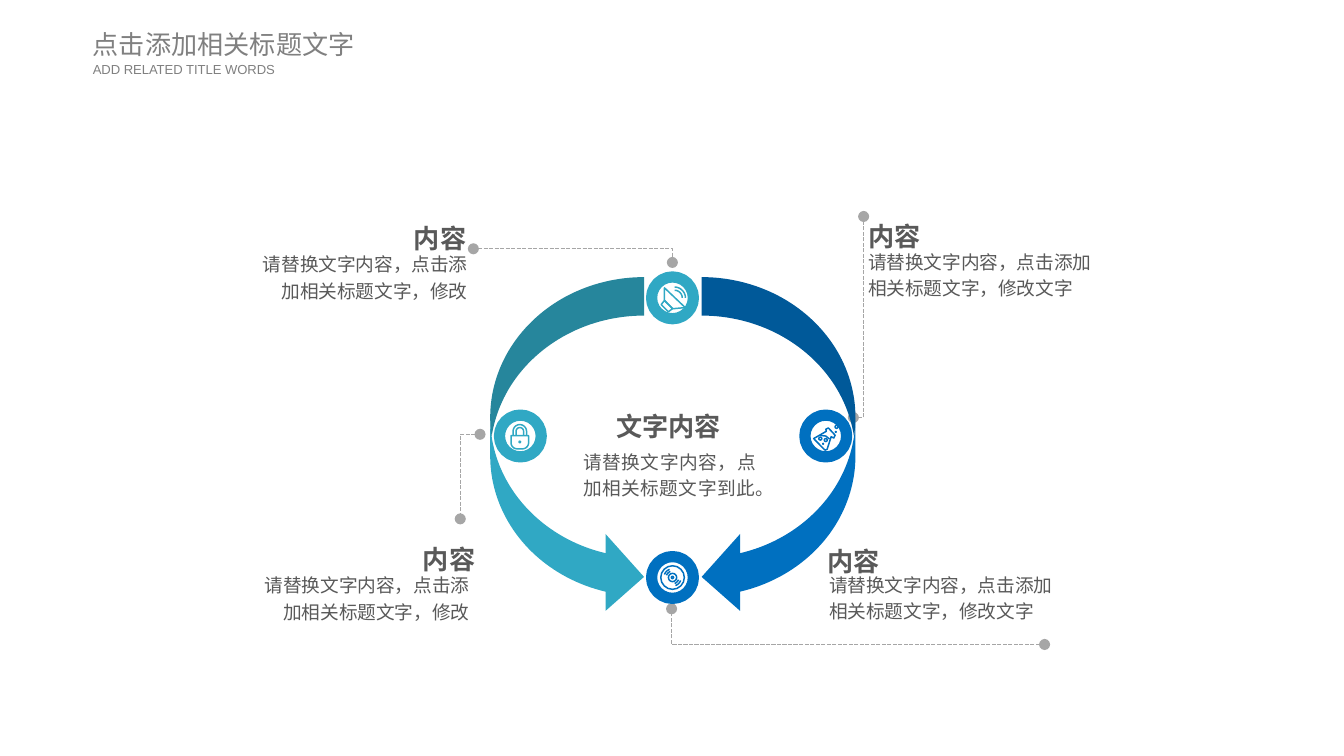
from dataclasses import dataclass
from math import cos, radians, sin

from lxml.etree import SubElement
from pptx import Presentation
from pptx.dml.color import RGBColor
from pptx.enum.dml import MSO_LINE
from pptx.enum.shapes import MSO_CONNECTOR, MSO_SHAPE
from pptx.enum.text import MSO_AUTO_SIZE, PP_ALIGN
from pptx.oxml.ns import qn
from pptx.util import Pt

Point = tuple[float, float]


@dataclass(frozen=True)
class Theme:
    font: str = "Arial"
    title: RGBColor = RGBColor(0x80, 0x80, 0x80)
    text: RGBColor = RGBColor(0x59, 0x59, 0x59)
    leader: RGBColor = RGBColor(0xA6, 0xA6, 0xA6)
    teal: RGBColor = RGBColor(0x30, 0xA8, 0xC4)
    blue: RGBColor = RGBColor(0x00, 0x70, 0xC0)
    white: RGBColor = RGBColor(0xFF, 0xFF, 0xFF)
    heading_size: float = 14
    body_size: float = 10
    subtitle_size: float = 7


@dataclass(frozen=True)
class Label:
    text: str
    left: float
    top: float
    width: float
    height: float
    size: float
    color: RGBColor
    bold: bool = False
    align: PP_ALIGN = PP_ALIGN.LEFT
    wrap: bool = False
    spacing: float = 1.0
    inset: Point = (0, 0)


@dataclass(frozen=True)
class Caption:
    heading_at: Point
    body_at: Point
    body_width: float
    body: str
    align: PP_ALIGN


@dataclass(frozen=True)
class Stroke:
    points: list[Point]
    closed: bool = True


@dataclass(frozen=True)
class Node:
    x: float
    y: float
    color: RGBColor
    icon: list[Stroke]


def arc(x: float, y: float, r: float, start: int, end: int) -> list[Point]:
    """Points on an arc, clockwise from the right, in degrees."""
    angles = [radians(start + (end - start) * i / 16) for i in range(17)]
    return [(x + r * cos(a), y + r * sin(a)) for a in angles]


def ring(x: float, y: float, r: float) -> Stroke:
    return Stroke(arc(x, y, r, 0, 360))


def shackle(r: float) -> Stroke:
    return Stroke([(-0.3 - r, -0.2), *arc(-0.3, -2.5, r, 180, 360), (-0.3 + r, -0.2)], False)


T = Theme()
SPEAKER = [
    Stroke([(-4.3, -5.4), (6.8, 5.2), (0.2, 5.8), (-4.3, 1.4)]),
    Stroke([(-4.3, 1.4), (0, 5.8), (-2.2, 7.4), (-6.1, 3.6)]),
    *[Stroke(arc(1.1, 0, r, -90, 0), False) for r in (4.1, 5.8)],
]
FLASK = [
    Stroke([(-6.5, 1.4), (0.3, -2.5), (0, -3.6), (1.4, -4.3), (5, -0.4),
            (4.3, 1.1), (2.9, 0.4), (0.7, 7.2), (-0.4, 7.6)]),
    Stroke([(-3.2, -0.4), (0, 0), (2, 1.6)], False),
    ring(0, 2.2, 0.8), ring(-2.9, 1.4, 0.8), ring(5.8, -4.9, 0.8),
    ring(-1.4, 4.2, 0.2), ring(5.4, -2.2, 0.2),
]
DISC = [
    *[ring(0, 0, r) for r in (6.3, 2.2, 0.6)],
    *[Stroke(arc(0, 0, r, a, a + 50), False) for r in (3.4, 4.6) for a in (20, 200)],
]
LOCK = [
    Stroke([(-5, -0.2), (4.4, -0.2), *arc(1.1, 3.6, 3.3, 0, 90), *arc(-1.7, 3.6, 3.3, 90, 180)]),
    shackle(3.6), shackle(2), ring(-0.3, 3.2, 0.4),
]
NODES = [
    Node(360.3, 159.6, T.teal, SPEAKER),
    Node(442.4, 233.6, T.blue, FLASK),
    Node(360.3, 309.4, T.blue, DISC),
    Node(278.8, 233.6, T.teal, LOCK),
]
# Each leader runs horizontally from its first point, then vertically to its second.
LEADERS: list[tuple[Point, Point]] = [
    ((457.2, 223.7), (462.7, 116)),
    ((559.6, 345.3), (359.8, 326.2)),
    ((257.2, 232.7), (246.6, 278)),
    ((253.6, 133.3), (360.2, 140.6)),
]
SHORT = "请替换文字内容，点击添加相关标题文字，修改"
LONG = SHORT + "文字"
CAPTIONS = [
    Caption((221.8, 116), (133, 133.2), 117.4, SHORT, PP_ALIGN.RIGHT),
    Caption((226.6, 288), (134, 305.3), 117.4, SHORT, PP_ALIGN.RIGHT),
    Caption((465.1, 114.5), (465.1, 131.8), 127.4, LONG, PP_ALIGN.LEFT),
    Caption((443.2, 288.9), (444.2, 304.8), 127.4, LONG, PP_ALIGN.LEFT),
]
TITLES = [
    Label("点击添加相关标题文字", 49.7, 15.1, 143.3, 17.3, T.heading_size, T.title),
    Label("ADD RELATED TITLE WORDS", 49.7, 33.1, 99.4, 8.6, T.subtitle_size, T.title),
]
CENTRE = [
    Label("文字内容", 322.6, 213.1, 71.3, 27.4, T.heading_size, T.text, True,
          PP_ALIGN.CENTER, spacing=1.2, inset=(7.2, 3.6)),
    Label("请替换文字内容，点加相关标题文字到此。", 305.3, 235.4, 106.6, 36, T.body_size, T.text,
          align=PP_ALIGN.JUSTIFY, wrap=True, spacing=1.2, inset=(7.2, 3.6)),
]


def add_label(s, label: Label) -> None:
    sp = s.shapes.add_textbox(Pt(label.left), Pt(label.top), Pt(label.width), Pt(label.height))
    tf = sp.text_frame
    tf.margin_left = tf.margin_right = Pt(label.inset[0])
    tf.margin_top = tf.margin_bottom = Pt(label.inset[1])
    tf.word_wrap = label.wrap
    tf.auto_size = MSO_AUTO_SIZE.SHAPE_TO_FIT_TEXT
    tf.text = label.text
    p = tf.paragraphs[0]
    p.alignment = label.align
    p.line_spacing = label.spacing
    r = p.runs[0]
    r.font.name = T.font
    r.font.size = Pt(label.size)
    r.font.bold = label.bold
    r.font.color.rgb = label.color


def add_caption(s, c: Caption) -> None:
    add_label(s, Label("内容", *c.heading_at, 28.1, 20.2, T.heading_size, T.text, True,
                       c.align, spacing=1.2))
    add_label(s, Label(c.body, *c.body_at, c.body_width, 28.8, T.body_size, T.text,
                       align=c.align, wrap=True, spacing=1.2))


def add_leader(s, begin: Point, end: Point) -> None:
    """Dashed one-bend connector with a dot at both ends."""
    cx = s.shapes.add_connector(MSO_CONNECTOR.ELBOW, *map(Pt, begin + end))
    cx.line.color.rgb = T.leader
    cx.line.width = Pt(0.75)
    cx.line.dash_style = MSO_LINE.SQUARE_DOT
    spPr = cx.element.spPr
    spPr.find(qn("a:prstGeom")).set("prst", "bentConnector2")
    ln = spPr.find(qn("a:ln"))
    for tag in ("a:headEnd", "a:tailEnd"):
        SubElement(ln, qn(tag), type="oval")
    SubElement(spPr, qn("a:effectLst"))


def add_disc(s, node: Node) -> None:
    d = 22.4
    sp = s.shapes.add_shape(MSO_SHAPE.OVAL, Pt(node.x - d / 2), Pt(node.y - d / 2), Pt(d), Pt(d))
    sp.shadow.inherit = False
    sp.fill.solid()
    sp.fill.fore_color.rgb = T.white
    sp.line.color.rgb = node.color
    sp.line.width = Pt(6)


def add_arrow(s, left: float, color: RGBColor, mirrored: bool) -> None:
    sp = s.shapes.add_shape(MSO_SHAPE.CURVED_RIGHT_ARROW, Pt(left), Pt(148.5), Pt(82.4), Pt(181.2))
    sp.shadow.inherit = False
    sp.fill.solid()
    sp.fill.fore_color.rgb = color
    sp.line.fill.background()
    if mirrored:
        sp.element.spPr.find(qn("a:xfrm")).set("flipH", "1")


def add_icon(s, node: Node) -> None:
    for stroke in node.icon:
        pts = [(Pt(node.x + x), Pt(node.y + y)) for x, y in stroke.points]
        fb = s.shapes.build_freeform(*pts[0])
        fb.add_line_segments(pts[1:], close=stroke.closed)
        sp = fb.convert_to_shape()
        sp.shadow.inherit = False
        sp.fill.background()
        sp.line.color.rgb = node.color
        sp.line.width = Pt(0.8)


def main() -> None:
    prs = Presentation()
    prs.slide_width, prs.slide_height = Pt(720), Pt(405)
    s = prs.slides.add_slide(prs.slide_layouts[6])
    for label in TITLES:
        add_label(s, label)
    for begin, end in LEADERS:
        add_leader(s, begin, end)
    for node in NODES:
        add_disc(s, node)
    add_arrow(s, 262.6, T.teal, False)
    add_arrow(s, 375.9, T.blue, True)
    for label in CENTRE:
        add_label(s, label)
    for node in NODES:
        add_icon(s, node)
    for caption in CAPTIONS:
        add_caption(s, caption)
    prs.save("out.pptx")


if __name__ == "__main__":
    main()
